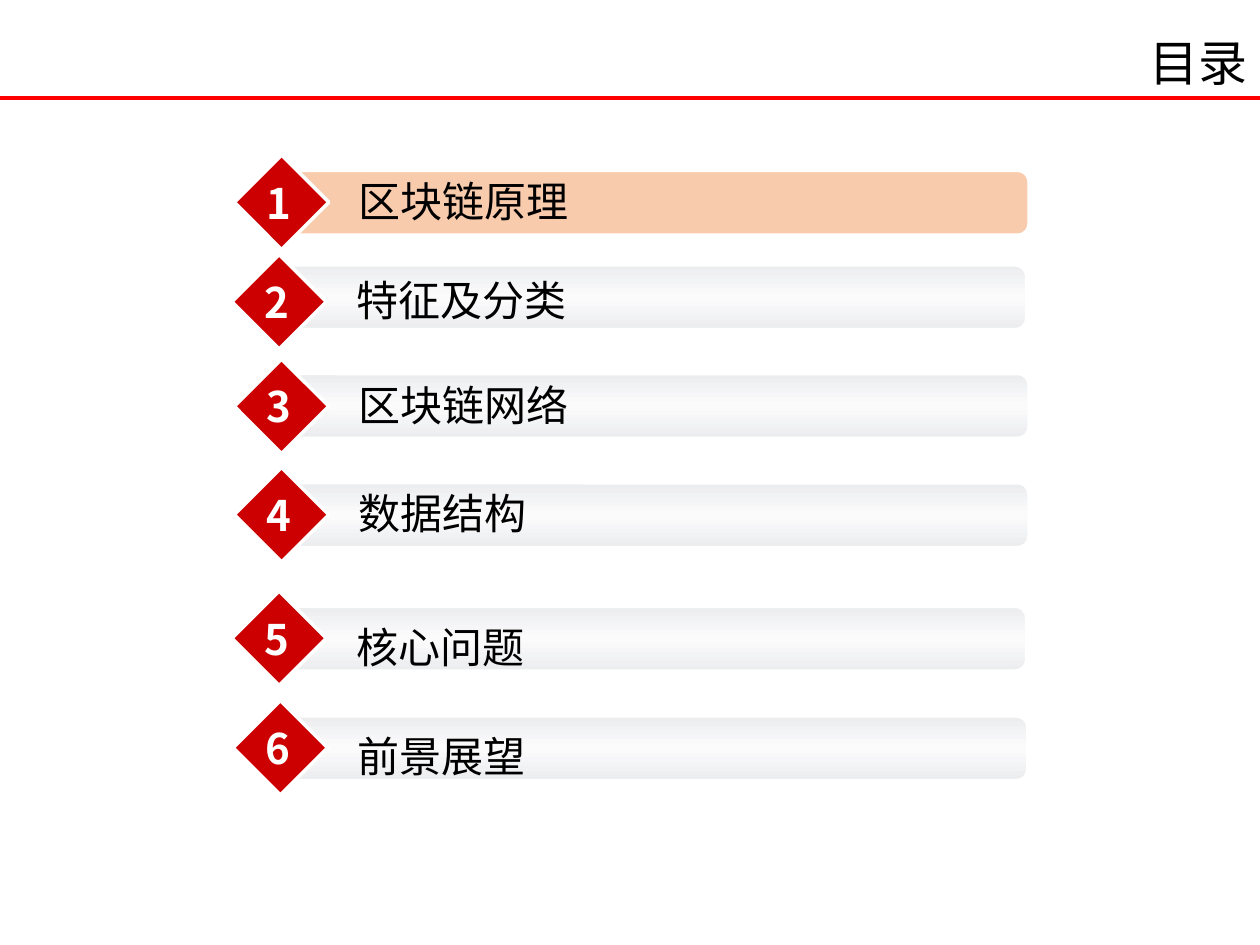
from copy import deepcopy

from lxml import etree
from pptx import Presentation
from pptx.dml.color import RGBColor
from pptx.enum.shapes import MSO_CONNECTOR, MSO_SHAPE
from pptx.enum.text import MSO_ANCHOR, MSO_AUTO_SIZE, PP_ALIGN
from pptx.oxml.ns import qn
from pptx.util import Pt

LEFT, MID, RIGHT = PP_ALIGN.LEFT, PP_ALIGN.CENTER, PP_ALIGN.RIGHT
TOP, FIT = MSO_ANCHOR.TOP, MSO_AUTO_SIZE.SHAPE_TO_FIT_TEXT
ROUND, GEM = MSO_SHAPE.ROUNDED_RECTANGLE, MSO_SHAPE.DIAMOND
LINE = MSO_CONNECTOR.STRAIGHT
FONT = "Noto Sans CJK SC"
RED, PEACH, WHITE = "CC0000", "F8CBAD", "FFFFFF"
SHEEN = [(0, "ECEDEF"), (0.5, "FBFBFC"), (1, "ECEDEF")]

TITLE = "目录"
# Label, diamond left and top, then drops of bar, label and number below it
ROWS = [
    ("区块链原理", 133.9, 88.6, 9.3, 7.9, 9.3),
    ("特征及分类", 132.5, 145.4, 6.5, 7.9, 9.3),
    ("区块链网络", 133.9, 205.2, 8.8, 7.9, 8.8),
    ("数据结构", 133.9, 267.1, 9.3, 7.9, 9.3),
    ("核心问题", 132.5, 337.7, 9.3, 13.7, 9.3),
    ("前景展望", 133.2, 400.3, 9.3, 13.7, 9.3),
]

deck = Presentation()
deck.slide_width, deck.slide_height = Pt(720), Pt(540)
slide = deck.slides.add_slide(deck.slide_layouts[6])
shapes = slide.shapes


def color(code):
    return RGBColor.from_string(code)


def text(words, x, y, w, h, size=24, tint="000000", bold=False, align=LEFT):
    box = shapes.add_textbox(Pt(x), Pt(y), Pt(w), Pt(h))
    frame = box.text_frame
    frame.word_wrap, frame.auto_size = True, FIT
    frame.vertical_anchor = TOP
    para = frame.paragraphs[0]
    para.alignment = align
    run = para.add_run()
    run.text = words
    font = run.font
    font.size, font.bold, font.name = Pt(size), bold, FONT
    font.color.rgb = color(tint)
    # Chinese glyphs take the East Asian font
    etree.SubElement(font._element, qn("a:ea")).set("typeface", FONT)


def paint(shape, fill):
    if isinstance(fill, str):
        shape.fill.solid()
        shape.fill.fore_color.rgb = color(fill)
        return
    shape.fill.gradient()
    shape.fill.gradient_angle = 90
    stops = shape._element.spPr.find(qn("a:gradFill")).find(qn("a:gsLst"))
    stops.append(deepcopy(stops[0]))
    for stop, (pos, code) in zip(shape.fill.gradient_stops, fill):
        stop.position = pos
        stop.color.rgb = color(code)


def block(kind, x, y, w, h, fill, edge):
    shape = shapes.add_shape(kind, Pt(x), Pt(y), Pt(w), Pt(h))
    shape.shadow.inherit = False
    paint(shape, fill)
    shape.line.color.rgb = color(WHITE)
    shape.line.width = Pt(edge)


# Header rule and title
rule = shapes.add_connector(LINE, Pt(-3), Pt(56), Pt(720), Pt(56))
rule.line.color.rgb = color("FF0000")
rule.line.width = Pt(2.25)
etree.SubElement(rule._element.spPr, qn("a:effectLst"))
text(TITLE, 326, 15, 394, 41, size=28, align=RIGHT)

# Contents rows, the first one highlighted
for num, (label, x, y, bar, drop, digit) in enumerate(ROWS, 1):
    block(ROUND, x + 30.2, y + bar, 423.4, 36, PEACH if num == 1 else SHEEN, 1)
    block(GEM, x, y, 54, 54, RED, 2)
    text(label, x + 64, y + drop, 340, 36)
    text(str(num), x + 11.6, y + digit, 28, 36,
         tint=WHITE, bold=True, align=MID)

deck.save("out.pptx")
